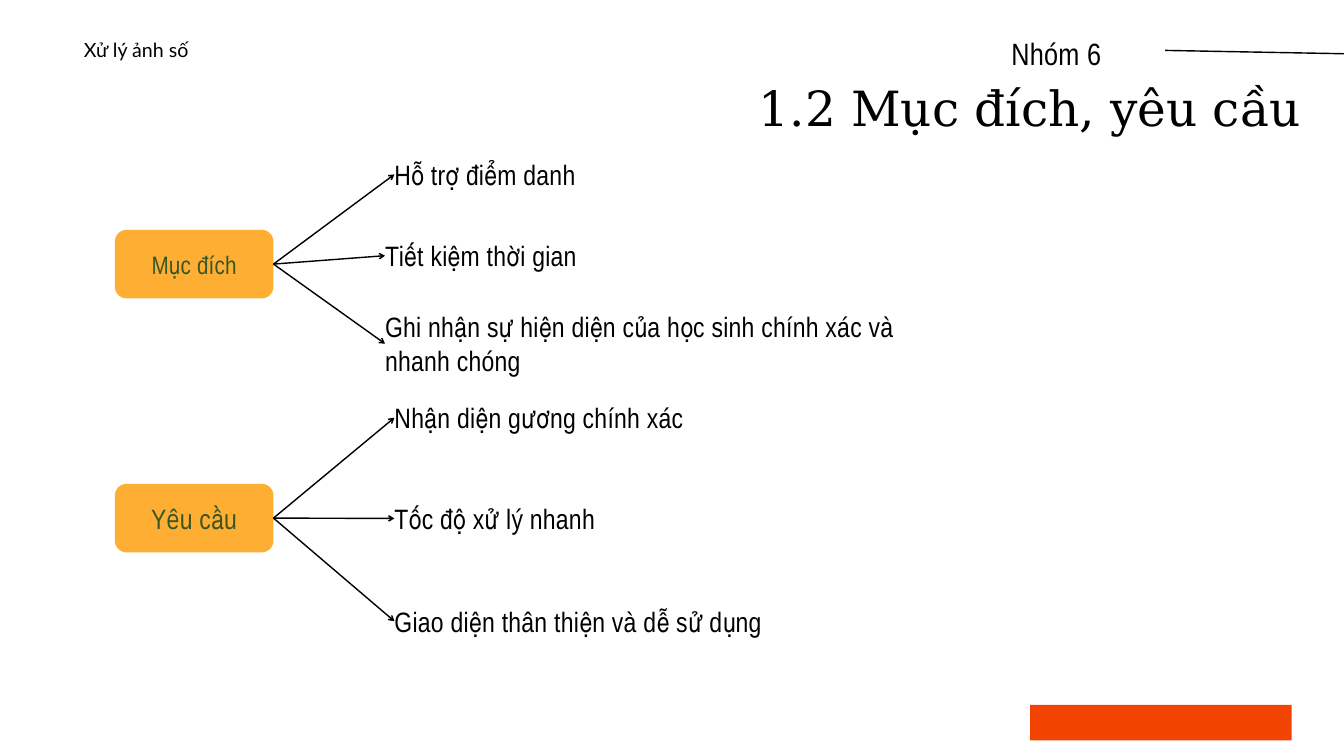
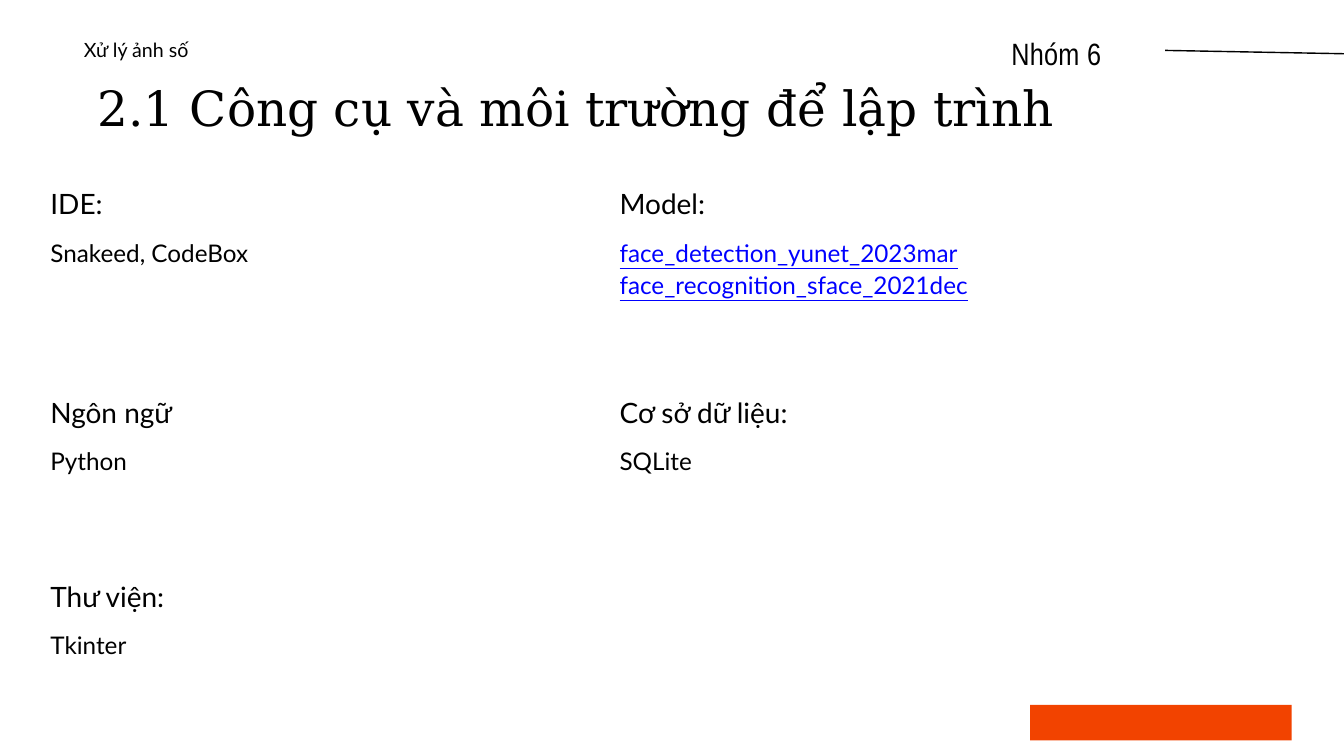
"""Build two slides on the aims and tools of an attendance project."""
from lxml.etree import SubElement
from pptx import Presentation
from pptx.dml.color import RGBColor
from pptx.enum.shapes import MSO_CONNECTOR as Connector, MSO_SHAPE as Shape
from pptx.enum.text import MSO_ANCHOR as Anchor, MSO_AUTO_SIZE as AutoSize, PP_ALIGN as Align
from pptx.oxml.ns import qn
from pptx.util import Inches, Pt

COLORS = {"ink": "000000", "band": "F24300", "topic": "FDAE33",
          "topic_text": "385724", "link": "0000FF"}

STYLES = {
    "course": {"name": "Lato", "size": 21, "leading": 25.2},
    "team": {"name": "Arial Narrow", "size": 33, "leading": 39.6, "tracking": 0.3},
    "title": {"name": "DejaVu Serif", "size": 52, "leading": 72.8, "align": Align.CENTER},
    "point": {"name": "Arial Narrow", "size": 30, "leading": 36, "tracking": 0.3},
    "aim": {"name": "Arial Narrow", "size": 27, "leading": 32.4, "tracking": 0.2,
            "color": "topic_text", "align": Align.CENTER},
    "need": {"name": "Arial Narrow", "size": 30, "leading": 36, "tracking": 0.3,
             "color": "topic_text", "align": Align.CENTER},
    "heading": {"name": "Lato", "size": 30, "leading": 39},
    "detail": {"name": "Lato", "size": 26, "leading": 33.8},
    "link": {"name": "Lato", "size": 26, "leading": 33.8, "color": "link",
             "underline": True},
}

COURSE, TEAM = "Xử lý ảnh số", "Nhóm 6"

AIMS_TITLE = ("1.2 Mục đích, yêu cầu", (10.9, 1.01, 8.86, 0.99))
TOPICS = [
    ("Mục đích", "aim", 3.42, [
        ("Hỗ trợ điểm danh", (5.87, 2.34, 7.2, 0.51)),
        ("Tiết kiệm thời gian", (5.73, 3.55, 7.2, 0.51)),
        ("Ghi nhận sự hiện diện của học sinh chính xác và nhanh chóng",
         (5.73, 4.61, 7.88, 1.01)),
    ]),
    ("Yêu cầu", "need", 7.2, [
        ("Nhận diện gương chính xác", (5.87, 5.96, 7.88, 0.51)),
        ("Tốc độ xử lý nhanh", (5.87, 7.46, 7.2, 0.51)),
        ("Giao diện thân thiện và dễ sử dụng", (5.87, 8.99, 8.53, 0.51)),
    ]),
]

TOOLS_TITLE = ("2.1 Công cụ và môi trường để lập trình", (0, 1.01, 17.14, 0.99))
TOOL_COLUMNS = [
    (0.75, [
        ("IDE:", ["Snakeed, CodeBox"], "detail"),
        ("Ngôn ngữ", ["Python"], "detail"),
        ("Thư viện:", ["Tkinter"], "detail"),
    ]),
    (9.22, [
        ("Model:", ["face_detection_yunet_2023mar",
                    "face_recognition_sface_2021dec"], "link"),
        ("Cơ sở dữ liệu:", ["SQLite"], "detail"),
    ]),
]
TOOL_ROWS = [2.74, 5.84, 8.58]
DETAIL_DROP = 0.77
TOOL_WIDTH = 6.11


def rgb(color):
    return RGBColor.from_string(COLORS[color])


def box(*lengths):
    return [Inches(length) for length in lengths]


def write(shape, lines, style, anchor=Anchor.TOP, inset=0):
    look = STYLES[style]
    frame = shape.text_frame
    settings = {"word_wrap": True, "auto_size": AutoSize.NONE, "vertical_anchor": anchor}
    for side in ("left", "top", "right", "bottom"):
        settings[f"margin_{side}"] = Inches(inset)
    for key, value in settings.items():
        setattr(frame, key, value)
    for index, line in enumerate(lines):
        paragraph = frame.add_paragraph() if index else frame.paragraphs[0]
        paragraph.alignment = look.get("align", Align.LEFT)
        paragraph.line_spacing = Pt(look["leading"])
        run = paragraph.add_run()
        run.text = line
        fonts = {"name": look["name"], "size": Pt(look["size"]),
                 "underline": look.get("underline")}
        for key, value in fonts.items():
            setattr(run.font, key, value)
        run.font.color.rgb = rgb(look.get("color", "ink"))
        if "tracking" in look:
            run._r.get_or_add_rPr().set("spc", str(round(look["tracking"] * 100)))


def add_text(slide, lines, style, place):
    text = slide.shapes.add_textbox(*box(*place))
    write(text, lines, style)
    return text


def add_block(slide, kind, place, color):
    block = slide.shapes.add_shape(kind, *box(*place))
    block.shadow.inherit = False
    block.fill.solid()
    block.fill.fore_color.rgb = rgb(color)
    block.line.fill.background()
    return block


def add_line(slide, ends, arrow=False):
    line = slide.shapes.add_connector(Connector.STRAIGHT, *ends)
    line.line.color.rgb = rgb("ink")
    line.line.width = Pt(1.5)
    properties = line._element.spPr
    if arrow:
        SubElement(properties.find(qn("a:ln")), qn("a:tailEnd"), type="arrow")
    SubElement(properties, qn("a:effectLst"))
    return line


def add_slide(deck, heading):
    slide = deck.slides.add_slide(deck.slide_layouts[5])
    words, place = heading
    title = slide.shapes.title
    title.left, title.top, title.width, title.height = box(*place)
    write(title, [words], "title")
    add_block(slide, Shape.RECTANGLE, (15.33, 10.49, 3.89, 0.53), "band")
    add_line(slide, box(17.34, 0.75, 20.02, 0.8))
    add_text(slide, [COURSE], "course", (1.25, 0.57, 2.87, 0.34))
    add_text(slide, [TEAM], "team", (15.05, 0.51, 2.09, 0.54))
    return slide


def build_aims(deck):
    slide = add_slide(deck, AIMS_TITLE)
    for name, style, top, points in TOPICS:
        topic = add_block(slide, Shape.ROUNDED_RECTANGLE, (1.71, top, 2.36, 1.02), "topic")
        topic.adjustments[0] = 0.17
        write(topic, [name], style, Anchor.MIDDLE, 0.06)
        for words, place in points:
            point = add_text(slide, [words], "point", place)
            arrow = add_line(slide, (0, 0, 0, 0), arrow=True)
            arrow.begin_connect(topic, 3)
            arrow.end_connect(point, 1)


def build_tools(deck):
    slide = add_slide(deck, TOOLS_TITLE)
    for left, tools in TOOL_COLUMNS:
        for top, (name, details, style) in zip(TOOL_ROWS, tools):
            add_text(slide, [name], "heading", (left, top, TOOL_WIDTH, 0.52))
            add_text(slide, details, style,
                     (left, top + DETAIL_DROP, TOOL_WIDTH, 0.47 * len(details)))


def main():
    deck = Presentation()
    deck.slide_width, deck.slide_height = box(20, 11.25)
    build_aims(deck)
    build_tools(deck)
    deck.save("out.pptx")


if __name__ == "__main__":
    main()
